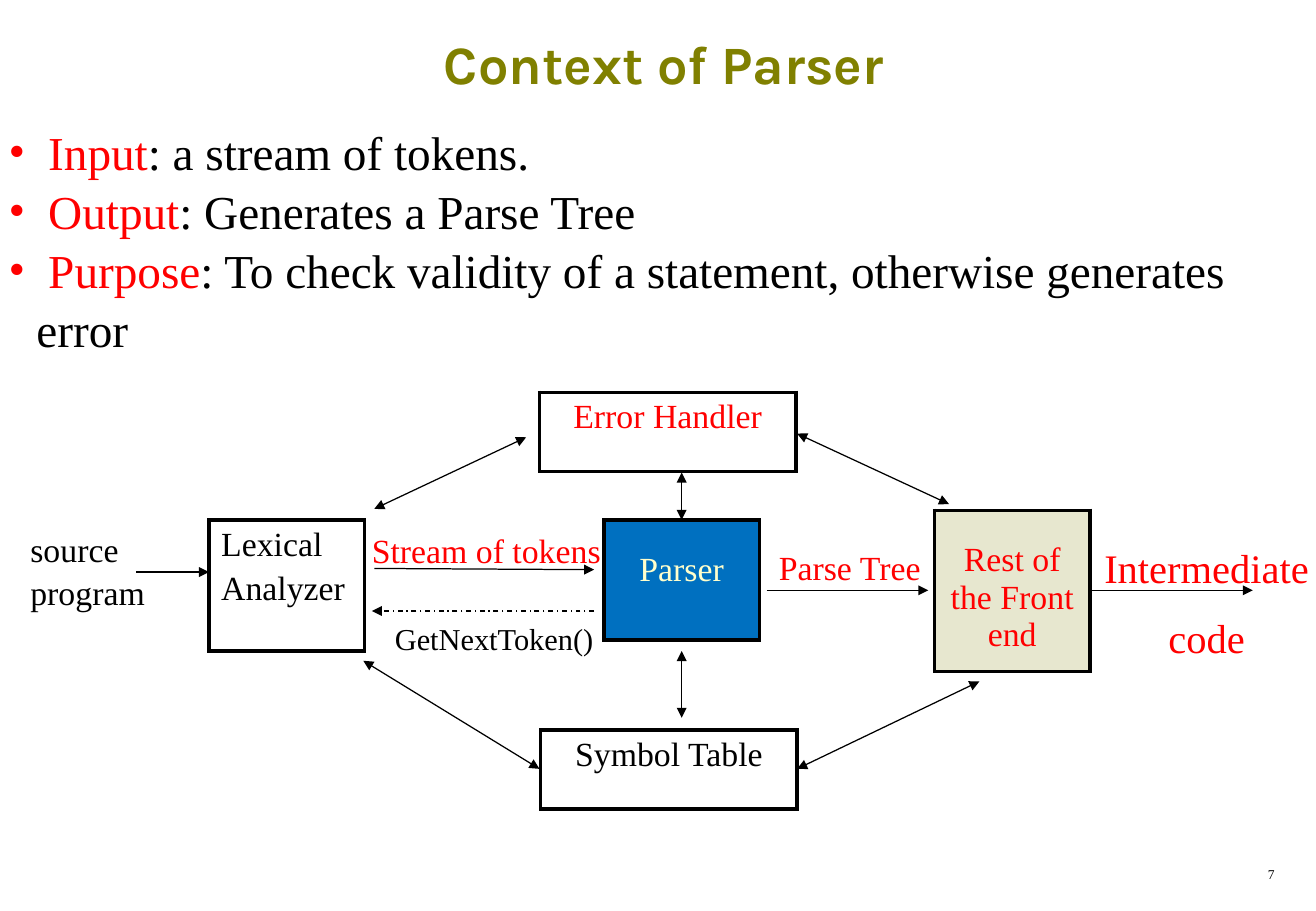
from pptx import Presentation
from pptx.dml.color import RGBColor
from pptx.enum.dml import MSO_LINE
from pptx.enum.shapes import MSO_CONNECTOR
from pptx.enum.text import MSO_ANCHOR, MSO_AUTO_SIZE, PP_ALIGN
from pptx.oxml import parse_xml
from pptx.oxml.ns import nsdecls, qn
from pptx.util import Inches, Pt

LEFT, CENTER, RIGHT = PP_ALIGN.LEFT, PP_ALIGN.CENTER, PP_ALIGN.RIGHT
TOP, MIDDLE = MSO_ANCHOR.TOP, MSO_ANCHOR.MIDDLE
NO_FIT = MSO_AUTO_SIZE.NONE
STRAIGHT = MSO_CONNECTOR.STRAIGHT
DASH_DOT = MSO_LINE.DASH_DOT

SLIDE_W, SLIDE_H = 10.83, 7.5
SERIF = "Times New Roman"
COLORS = {"black": "000000", "red": "FF0000", "olive": "808000", "white": "FFFFFF",
          "blue": "0070C0", "cream": "FFFFCC", "beige": "E7E7CF"}

BULLETS = [
    ("Input", ": a stream of tokens."),
    ("Output", ": Generates a Parse Tree"),
    ("Purpose", ": To check validity of a statement, otherwise generates error"),
]

# left, top, width, height, lines, alignment, fill, text colour, top margin
BLOCKS = [
    (4.44, 0.23, 2.11, 0.65, ["Error Handler"], CENTER, "white", "red", 0.05),
    (1.72, 1.28, 1.28, 1.08, ["Lexical", "Analyzer"], LEFT, "white", "black", 0.05),
    (4.97, 1.28, 1.28, 0.99, ["Parser"], CENTER, "blue", "cream", 0.26),
    (7.69, 1.2, 1.28, 1.33, ["Rest of the Front end"], CENTER, "beige", "red", 0.26),
    (4.45, 3.01, 2.11, 0.65, ["Symbol Table"], CENTER, "white", "black", 0.05),
]

# left, top, width, height, lines, size, colour, alignment, space before, line spacing
LABELS = [
    (0.25, 1.34, 1.1, 0.7, ["source", "program"], 20, "black", LEFT, 0, 1.05),
    (3.06, 1.36, 2.05, 0.34, ["Stream of tokens"], 20, "red", LEFT, 0, 1),
    (3.25, 2.11, 1.7, 0.3, ["GetNextToken()"], 18, "black", LEFT, 0, 1),
    (6.41, 1.5, 1.6, 0.34, ["Parse Tree"], 20, "red", LEFT, 0, 1),
    (9.03, 1.47, 1.8, 1, ["Intermediate", "code"], 24, "red", CENTER, 13, 1),
]

ONE_WAY = [(1.12, 1.71, 1.72, 1.71), (3.08, 1.68, 4.89, 1.69),
           (6.31, 1.86, 7.64, 1.86), (8.97, 1.86, 10.31, 1.86)]
TWO_WAY = [(5.61, 0.89, 5.61, 1.28), (5.61, 2.36, 5.61, 2.91),
           (4.33, 0.6, 3.08, 1.19), (6.56, 0.57, 7.81, 1.15),
           (2.99, 2.44, 4.44, 3.33), (8.06, 2.61, 6.56, 3.33)]
REQUEST = (4.89, 2.03, 3.06, 2.03)


def rgb(name):
    return RGBColor.from_string(COLORS[name])


def apply(obj, values):
    for name, value in values.items():
        setattr(obj, name, value)


def place(sp, x, y, w, h):
    apply(sp, {"left": Inches(x), "top": Inches(y), "width": Inches(w), "height": Inches(h)})


def add_run(p, text, size, color, font=SERIF, bold=False):
    r = p.add_run()
    r.text = text
    apply(r.font, {"size": Pt(size), "name": font, "bold": bold})
    r.font.color.rgb = rgb(color)


def add_lines(tf, lines, size, color, align, before=0, spacing=1):
    for i, line in enumerate(lines):
        p = tf.add_paragraph() if i else tf.paragraphs[0]
        apply(p, {"alignment": align, "space_before": Pt(before if i else 0),
                  "line_spacing": spacing})
        add_run(p, line, size, color)


def add_label(s, x, y, w, h, lines, size, color, align, before=0, spacing=1):
    tf = s.shapes.add_textbox(Inches(x), Inches(y), Inches(w), Inches(h)).text_frame
    apply(tf, {"word_wrap": True, "margin_left": 0, "margin_right": 0,
               "margin_top": 0, "margin_bottom": 0})
    add_lines(tf, lines, size, color, align, before, spacing)


def add_block(s, x, y, w, h, lines, align, fill, color, margin_top):
    table = s.shapes.add_table(1, 1, Inches(x), Inches(y), Inches(w), Inches(h)).table
    apply(table, {"first_row": False, "horz_banding": False})
    cell = table.cell(0, 0)
    apply(cell, {"vertical_anchor": TOP, "margin_top": Inches(margin_top)})
    tcPr = cell._tc.get_or_add_tcPr()
    for side in "LRTB":
        tcPr.append(parse_xml(
            f'<a:ln{side} {nsdecls("a")} w="{Pt(2.25)}"><a:solidFill>'
            f'<a:srgbClr val="{COLORS["black"]}"/></a:solidFill></a:ln{side}>'))
    cell.fill.solid()
    cell.fill.fore_color.rgb = rgb(fill)
    add_lines(cell.text_frame, lines, 20, color, align, 4)


def add_arrow(s, x, y, ends, two_way=False, dash=None):
    x1, y1, x2, y2 = ends
    c = s.shapes.add_connector(STRAIGHT, Inches(x + x1), Inches(y + y1),
                               Inches(x + x2), Inches(y + y2))
    c.line.color.rgb = rgb("black")
    apply(c.line, {"width": Pt(0.75), "dash_style": dash})
    ln = c.line._get_or_add_ln()
    for tag in ("headEnd", "tailEnd") if two_way else ("tailEnd",):
        ln.append(parse_xml(f'<a:{tag} {nsdecls("a")} type="triangle"/>'))
    c._element.spPr.append(parse_xml(f'<a:effectLst {nsdecls("a")}/>'))


def add_title(s, x, y, w, h):
    sp = s.shapes.title
    place(sp, x, y, w, h)
    apply(sp.text_frame, {"vertical_anchor": MIDDLE, "auto_size": NO_FIT})
    p = sp.text_frame.paragraphs[0]
    p.alignment = CENTER
    add_run(p, "Context of Parser", 32, "olive", "Karla", True)


def add_bullets(s, x, y, w, h):
    sp = s.placeholders[1]
    place(sp, x, y, w, h)
    tf = sp.text_frame
    apply(tf, {"auto_size": NO_FIT, "word_wrap": True, "vertical_anchor": TOP,
               "margin_left": Inches(0.07), "margin_right": Inches(0.07)})
    for i, (term, text) in enumerate(BULLETS):
        p = tf.add_paragraph() if i else tf.paragraphs[0]
        pPr = p._p.get_or_add_pPr()
        pPr.set("marL", str(Inches(0.23)))
        pPr.set("indent", str(-Inches(0.23)))
        pPr.append(parse_xml(f'<a:buFont {nsdecls("a")} typeface="{SERIF}"/>'))
        pPr.append(pPr.makeelement(qn("a:buChar"), {"char": "•"}))
        apply(p, {"alignment": LEFT, "space_before": Pt(0), "line_spacing": 1.04})
        add_run(p, " " + term, 28, "red")
        add_run(p, text, 28, "black")


def add_diagram(s, x, y):
    for left, top, *block in BLOCKS:
        add_block(s, x + left, y + top, *block)
    for left, top, *label in LABELS:
        add_label(s, x + left, y + top, *label)
    for ends in ONE_WAY:
        add_arrow(s, x, y, ends)
    for ends in TWO_WAY:
        add_arrow(s, x, y, ends, two_way=True)
    add_arrow(s, x, y, REQUEST, dash=DASH_DOT)


def main():
    prs = Presentation()
    apply(prs, {"slide_width": Inches(SLIDE_W), "slide_height": Inches(SLIDE_H)})
    s = prs.slides.add_slide(prs.slide_layouts[1])
    add_title(s, 0.34, 0.02, 10.25, 1)
    add_bullets(s, 0, 0.95, SLIDE_W, 2)
    add_diagram(s, 0, 3)
    add_label(s, 8.43, 7.13, 2.06, 0.15, ["7"], 8, "black", RIGHT)
    prs.save("out.pptx")


if __name__ == "__main__":
    main()
